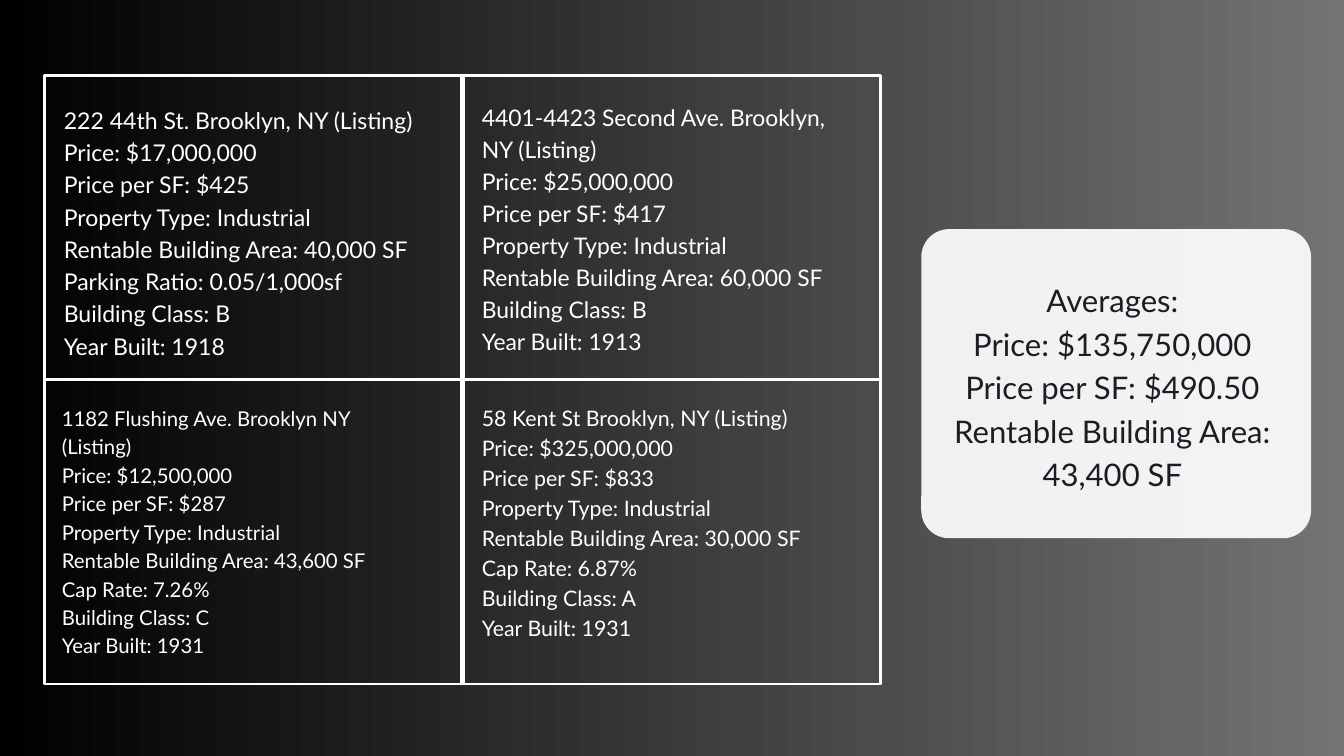
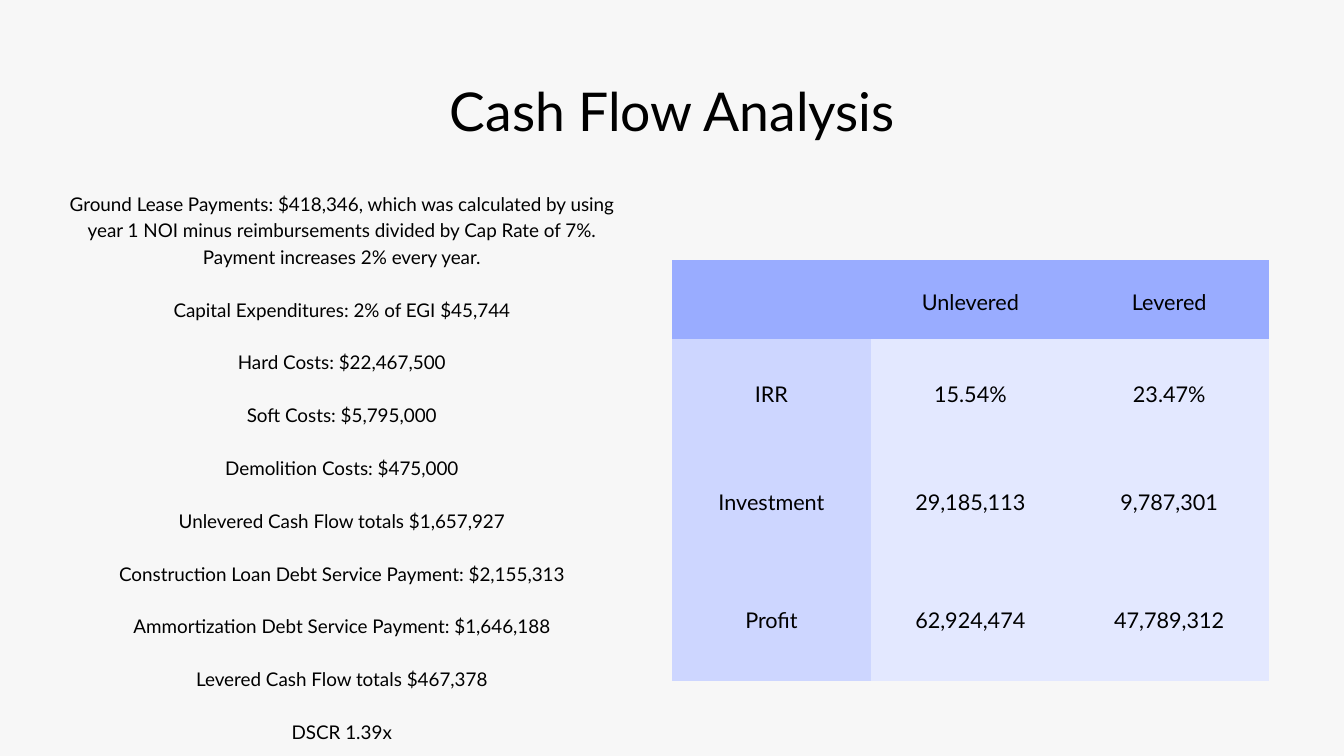
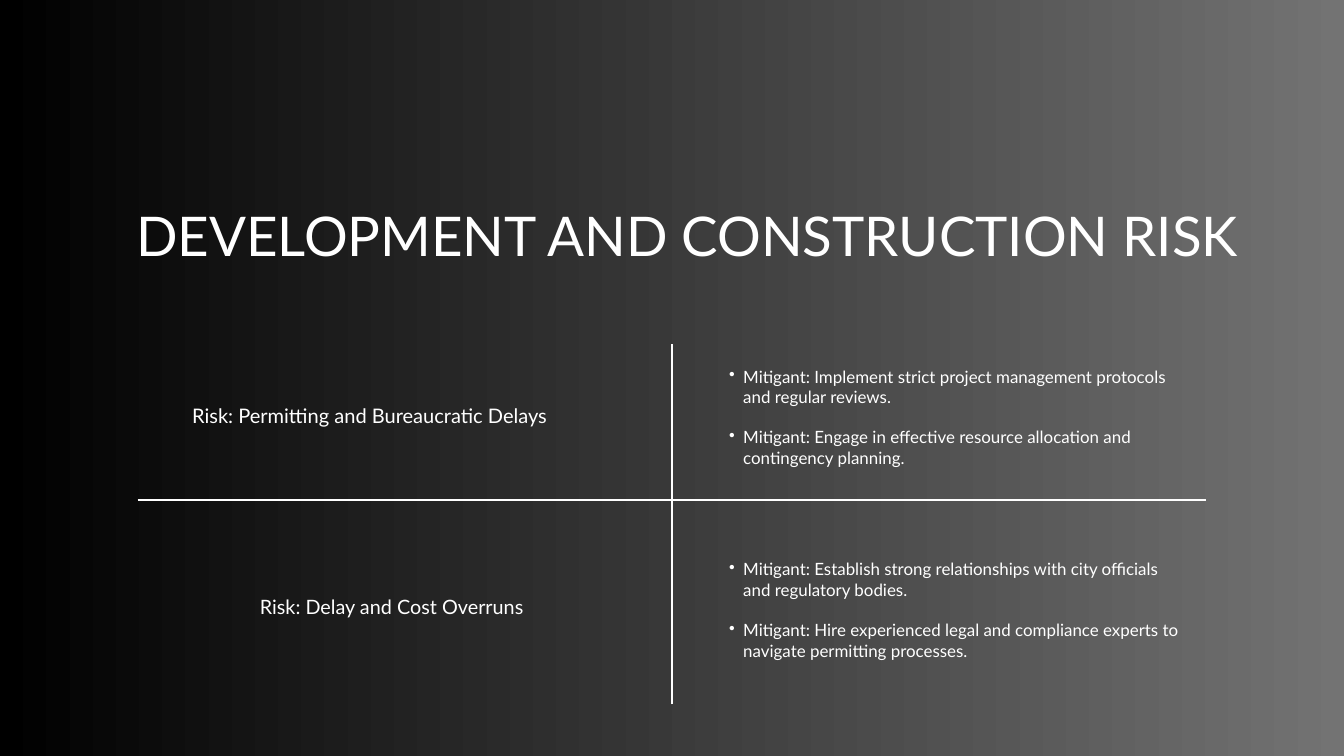
from dataclasses import dataclass

from lxml.etree import SubElement
from pptx import Presentation
from pptx.dml.color import RGBColor
from pptx.enum.shapes import MSO_CONNECTOR, MSO_SHAPE
from pptx.enum.text import MSO_ANCHOR, PP_ALIGN
from pptx.oxml.ns import qn
from pptx.util import Inches, Pt


@dataclass(frozen=True)
class Theme:
    font: str = "Lato"
    white: RGBColor = RGBColor(0xFF, 0xFF, 0xFF)
    black: RGBColor = RGBColor(0, 0, 0)
    ink: RGBColor = RGBColor(0x1D, 0x1C, 0x24)
    gray: RGBColor = RGBColor(0x73, 0x73, 0x73)
    paper: RGBColor = RGBColor(0xF7, 0xF7, 0xF7)
    head: RGBColor = RGBColor(0x99, 0xAC, 0xFF)
    side: RGBColor = RGBColor(0xCD, 0xD6, 0xFF)
    body: RGBColor = RGBColor(0xE3, 0xE8, 0xFF)
    title: float = 57.3
    banner: float = 58.6
    total: float = 33.3
    cell: float = 23.2
    note: float = 20.2
    point: float = 18.1


theme = Theme()
NO_STYLE = "{2D5ABB26-0587-4C30-8999-92F81FD0307C}"


def place(slide, *at):
    """Add a wrapped text box without margins and return its frame."""
    frame = slide.shapes.add_textbox(*map(Inches, at)).text_frame
    frame.word_wrap = True
    frame.margin_left = frame.margin_right = 0
    frame.margin_top = frame.margin_bottom = 0
    return frame


def write(frame, *lines, size, color=theme.white, align=PP_ALIGN.LEFT,
          lead=1.4, gap=0, bullet=False):
    """Fill a frame; lead is the line pitch as a multiple of the type size."""
    for i, line in enumerate(lines):
        para = frame.add_paragraph() if i else frame.paragraphs[0]
        para.alignment = align
        para.line_spacing = Pt(round(size * lead, 1))
        if i and gap:
            para.space_before = Pt(gap)
        if bullet:
            props = para._p.get_or_add_pPr()
            props.set("marL", str(Inches(0.43)))
            props.set("indent", str(Inches(-0.21)))
            SubElement(props, qn("a:buChar")).set("char", "•")
        run = para.add_run()
        run.text = line
        run.font.name = theme.font
        run.font.size = Pt(size)
        run.font.color.rgb = color


deck = Presentation()
deck.slide_width, deck.slide_height = Inches(20), Inches(11.25)
blank = deck.slide_layouts[6]
sales, cash, risks = [deck.slides.add_slide(blank) for _ in range(3)]

for slide in (sales, risks):
    fill = slide.background.fill
    fill.gradient()
    fill.gradient_angle = 0
    for stop, shade in zip(fill.gradient_stops, (theme.black, theme.gray)):
        stop.color.rgb = shade
cash.background.fill.solid()
cash.background.fill.fore_color.rgb = theme.paper

# Slide 1: comparable sales
panel = sales.shapes.add_shape(
    MSO_SHAPE.ROUNDED_RECTANGLE, *map(Inches, (13.71, 3.41, 5.8, 4.6)))
panel.adjustments[0] = 0.09
panel.shadow.inherit = False
panel.line.fill.background()
panel.fill.solid()
panel.fill.fore_color.rgb = theme.white
tint = panel._element.spPr.find(qn("a:solidFill"))[0]
SubElement(tint, qn("a:alpha")).set("val", "92000")

for left in (0.66, 6.86):
    for top in (1.12, 5.65):
        frame = sales.shapes.add_shape(
            MSO_SHAPE.RECTANGLE, *map(Inches, (left, top, 6.24, 4.53)))
        frame.shadow.inherit = False
        frame.fill.background()
        frame.line.color.rgb = theme.white
        frame.line.width = Pt(3)

write(place(sales, 13.8, 4.1, 5.51, 3.15),
      "Averages:", "Price: $135,750,000", "Price per SF: $490.50",
      "Rentable Building Area: 43,400 SF",
      size=theme.total, color=theme.ink, align=PP_ALIGN.CENTER)

lots = [
    ((0.95, 1.51, 5.67, 3.75), 24.7, ["222 44th St. Brooklyn, NY (Listing)"],
     "17,000,000", "425", "40,000", "Parking Ratio: 0.05/1,000sf", "B", 1918),
    ((0.92, 5.98, 5.32, 3.76), 21.8,
     ["1182 Flushing Ave. Brooklyn NY (Listing)"],
     "12,500,000", "287", "43,600", "Cap Rate: 7.26%", "C", 1931),
    ((7.17, 1.48, 5.38, 3.79), 24.5,
     ["4401-4423 Second Ave. Brooklyn,", "NY (Listing)"],
     "25,000,000", "417", "60,000", None, "B", 1913),
    ((7.17, 5.97, 5.12, 3.53), 22.9, ["58 Kent St Brooklyn, NY (Listing)"],
     "325,000,000", "833", "30,000", "Cap Rate: 6.87%", "A", 1931),
]
for at, size, street, price, rate, area, extra, grade, year in lots:
    facts = [*street, f"Price: ${price}", f"Price per SF: ${rate}",
             "Property Type: Industrial", f"Rentable Building Area: {area} SF",
             extra, f"Building Class: {grade}", f"Year Built: {year}"]
    write(place(sales, *at), *filter(None, facts), size=size)

# Slide 2: cash flow
rows = [
    ("", "Unlevered", "Levered"),
    ("IRR", "15.54%", "23.47%"),
    ("Investment", "29,185,113", "9,787,301"),
    ("Profit", "62,924,474", "47,789,312"),
]
table = cash.shapes.add_table(
    4, 3, *map(Inches, (10, 3.87, 8.88, 6.26))).table
table._tbl.tblPr.find(qn("a:tableStyleId")).text = NO_STYLE
table.first_row = table.horz_banding = False
for col in table.columns:
    col.width = Inches(2.96)
for row, height in zip(table.rows, (1.18, 1.56, 1.65, 1.87)):
    row.height = Inches(height)
for r, row in enumerate(rows):
    for c, text in enumerate(row):
        cell = table.cell(r, c)
        cell.fill.solid()
        cell.fill.fore_color.rgb = (
            theme.head if r == 0 else theme.side if c == 0 else theme.body)
        cell.vertical_anchor = MSO_ANCHOR.MIDDLE
        cell.margin_left = cell.margin_right = Inches(0.21)
        cell.margin_top = cell.margin_bottom = Inches(0.21)
        if text:
            write(cell.text_frame, text, size=theme.cell, color=theme.black,
                  align=PP_ALIGN.CENTER)

write(place(cash, 6.29, 1, 7.43, 1.07), "Cash Flow Analysis",
      size=theme.title, color=theme.black, align=PP_ALIGN.CENTER)
write(place(cash, 0.92, 2.81, 8.33, 8.54),
      "Ground Lease Payments: $418,346, which was calculated by using year 1 "
      "NOI minus reimbursements divided by Cap Rate of 7%. Payment increases "
      "2% every year.",
      "Capital Expenditures: 2% of EGI $45,744",
      "Hard Costs: $22,467,500",
      "Soft Costs: $5,795,000",
      "Demolition Costs: $475,000",
      "Unlevered Cash Flow totals $1,657,927",
      "Construction Loan Debt Service Payment: $2,155,313",
      "Ammortization Debt Service Payment: $1,646,188",
      "Levered Cash Flow totals $467,378",
      "DSCR 1.39x",
      size=theme.note, color=theme.black, align=PP_ALIGN.CENTER, gap=28.3)

# Slide 3: risks and how to meet them
write(place(risks, 1.58, 3.25, 17.29, 0.8),
      "DEVELOPMENT AND CONSTRUCTION RISK",
      size=theme.banner, align=PP_ALIGN.CENTER, lead=0.9)
write(place(risks, 2.86, 6, 5.94, 0.35),
      "Risk: Permitting and Bureaucratic Delays", size=21.5, lead=1.2)
write(place(risks, 2.86, 8.93, 5.94, 0.29), "Risk: Delay and Cost Overruns",
      size=21.2, align=PP_ALIGN.CENTER, lead=0.95)

plans = [
    (5.45,
     "Mitigant: Implement strict project management protocols and regular "
     "reviews.",
     "Mitigant: Engage in effective resource allocation and contingency "
     "planning."),
    (8.32,
     "Mitigant: Establish strong relationships with city officials and "
     "regulatory bodies.",
     "Mitigant: Hire experienced legal and compliance experts to navigate "
     "permitting processes."),
]
for top, *steps in plans:
    write(place(risks, 10.63, top, 7.02, 1.46), *steps,
          size=theme.point, lead=1.2, gap=21.7, bullet=True)

for ends in ((2.05, 7.44, 17.95, 7.44), (10, 10.48, 10, 5.12)):
    rule = risks.shapes.add_connector(
        MSO_CONNECTOR.STRAIGHT, *map(Inches, ends))
    rule.line.color.rgb = theme.white
    rule.line.width = Pt(1.5)
    SubElement(rule._element.spPr, qn("a:effectLst"))

deck.save("out.pptx")
